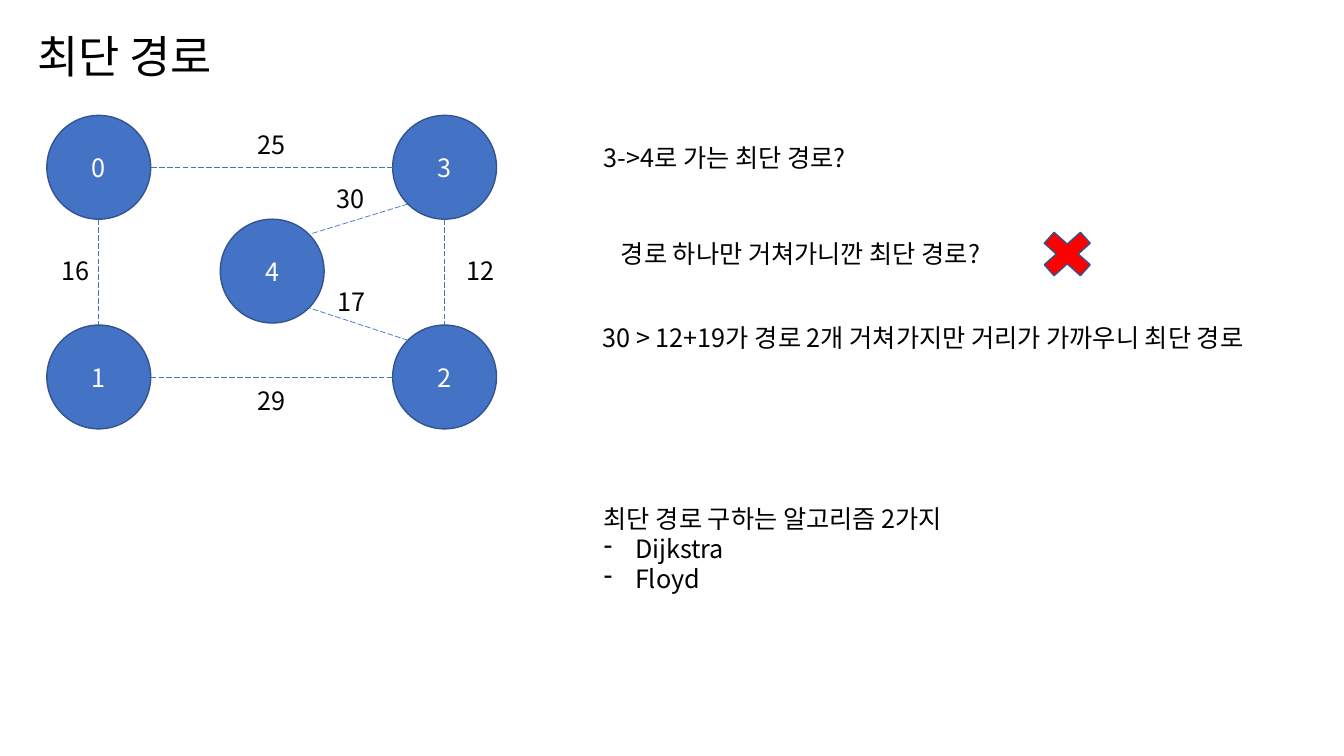
import math
from dataclasses import dataclass

import lxml.etree
import pptx
import pptx.dml.color
import pptx.enum.dml
import pptx.enum.shapes
import pptx.enum.text
import pptx.oxml.ns
import pptx.util

Inches = pptx.util.Inches
Pt = pptx.util.Pt
qn = pptx.oxml.ns.qn
SHAPE = pptx.enum.shapes.MSO_SHAPE


@dataclass(frozen=True)
class Theme:
    font: str = "Noto Sans CJK KR"
    title_size: int = 32
    body_size: int = 18
    ink: str = "000000"
    white: str = "FFFFFF"
    node: str = "4472C4"
    outline: str = "325491"
    wrong: str = "FF0000"
    outline_width: float = 1
    edge_width: float = 0.5


class SlideBuilder:
    def __init__(self, slide, theme):
        self.s = slide
        self.theme = theme

    def rgb(self, value):
        return pptx.dml.color.RGBColor.from_string(value)

    def style(self, p, size, color):
        p.font.size = Pt(size)
        p.font.color.rgb = self.rgb(color)
        p.font.name = self.theme.font
        # East Asian typeface for the Korean text
        defaults = p._p.pPr.find(qn("a:defRPr"))
        lxml.etree.SubElement(defaults, qn("a:ea"), typeface=self.theme.font)

    def dash_bullet(self, p, indent=0.31):
        pPr = p._p.get_or_add_pPr()
        pPr.set("marL", str(Inches(indent)))
        pPr.set("indent", str(-Inches(indent)))
        bullet = lxml.etree.Element(qn("a:buChar"), char="-")
        pPr.insert(0, bullet)

    def text(self, x, y, w, h, lines, size=None, bullets_from=None):
        sp = self.s.shapes.add_textbox(Inches(x), Inches(y), Inches(w), Inches(h))
        tf = sp.text_frame
        tf.word_wrap = False
        tf.auto_size = pptx.enum.text.MSO_AUTO_SIZE.SHAPE_TO_FIT_TEXT
        tf.text = "\n".join(lines)
        for i, p in enumerate(tf.paragraphs):
            self.style(p, size or self.theme.body_size, self.theme.ink)
            if bullets_from is not None and i >= bullets_from:
                self.dash_bullet(p)

    def shape(self, kind, x, y, w, h, fill):
        sp = self.s.shapes.add_shape(kind, Inches(x), Inches(y), Inches(w), Inches(h))
        sp.shadow.inherit = False
        sp.fill.solid()
        sp.fill.fore_color.rgb = self.rgb(fill)
        sp.line.color.rgb = self.rgb(self.theme.outline)
        sp.line.width = Pt(self.theme.outline_width)
        return sp

    def node(self, center, radius, label):
        x, y = center
        sp = self.shape(SHAPE.OVAL, x - radius, y - radius, 2 * radius, 2 * radius,
                        self.theme.node)
        tf = sp.text_frame
        tf.vertical_anchor = pptx.enum.text.MSO_ANCHOR.MIDDLE
        p = tf.paragraphs[0]
        p.text = label
        p.alignment = pptx.enum.text.PP_ALIGN.CENTER
        self.style(p, self.theme.body_size, self.theme.white)

    def edge(self, start, end):
        line = self.s.shapes.add_connector(
            pptx.enum.shapes.MSO_CONNECTOR.STRAIGHT,
            *(Inches(v) for v in (*start, *end)))
        line.line.color.rgb = self.rgb(self.theme.node)
        line.line.width = Pt(self.theme.edge_width)
        line.line.dash_style = pptx.enum.dml.MSO_LINE.LONG_DASH
        lxml.etree.SubElement(line._element.spPr, qn("a:effectLst"))


RADIUS = 0.515
LEFT, MIDDLE, RIGHT = 0.98, 2.7, 4.41
TOP, CENTER, BOTTOM = 1.66, 2.69, 3.74
NODES = {
    0: (LEFT, TOP),
    1: (LEFT, BOTTOM),
    2: (RIGHT, BOTTOM),
    4: (MIDDLE, CENTER),
    3: (RIGHT, TOP),
}
# From node, to node, weight, label left and top
EDGES = [
    (3, 4, 30, 3.24, 1.77),
    (0, 1, 16, 0.51, 2.48),
    (3, 2, 12, 4.53, 2.48),
    (1, 2, 29, 2.46, 3.77),
    (3, 0, 25, 2.46, 1.23),
    (2, 4, 17, 3.25, 2.79),
]
NOTES = [
    (5.89, 1.36, 2.91, "3->4로 가는 최단 경로?"),
    (6.06, 2.32, 4.21, "경로 하나만 거쳐가니깐 최단 경로?"),
    (5.88, 3.15, 7.38, "30 > 12+19가 경로 2개 거쳐가지만 거리가 가까우니 최단 경로"),
]


def rim_point(node, other):
    """Point on the node's rim, in the nearest of eight directions to the other."""
    (x, y), (ox, oy) = NODES[node], NODES[other]
    dx, dy = ((d > 0) - (d < 0) for d in (ox - x, oy - y))
    reach = RADIUS / math.hypot(dx, dy)
    return x + dx * reach, y + dy * reach


def main():
    prs = pptx.Presentation()
    prs.slide_width, prs.slide_height = Inches(13.33), Inches(7.5)
    theme = Theme()
    slide = SlideBuilder(prs.slides.add_slide(prs.slide_layouts[6]), theme)

    # Cross and title
    slide.shape(SHAPE.MATH_MULTIPLY, 10.24, 2.21, 0.69, 0.62, theme.wrong)
    slide.text(0.27, 0.24, 2.15, 0.64, ["최단 경로"], theme.title_size)

    # Weighted graph
    for label, center in NODES.items():
        slide.node(center, RADIUS, str(label))
    for a, b, weight, x, y in EDGES:
        slide.edge(rim_point(a, b), rim_point(b, a))
        slide.text(x, y, 0.48, 0.4, [str(weight)])

    # Explanation
    for x, y, w, note in NOTES:
        slide.text(x, y, w, 0.4, [note])

    # Algorithms
    slide.text(5.89, 4.94, 3.98, 1.01,
               ["최단 경로 구하는 알고리즘 2가지", "Dijkstra", "Floyd"], bullets_from=1)

    prs.save("out.pptx")


if __name__ == "__main__":
    main()
